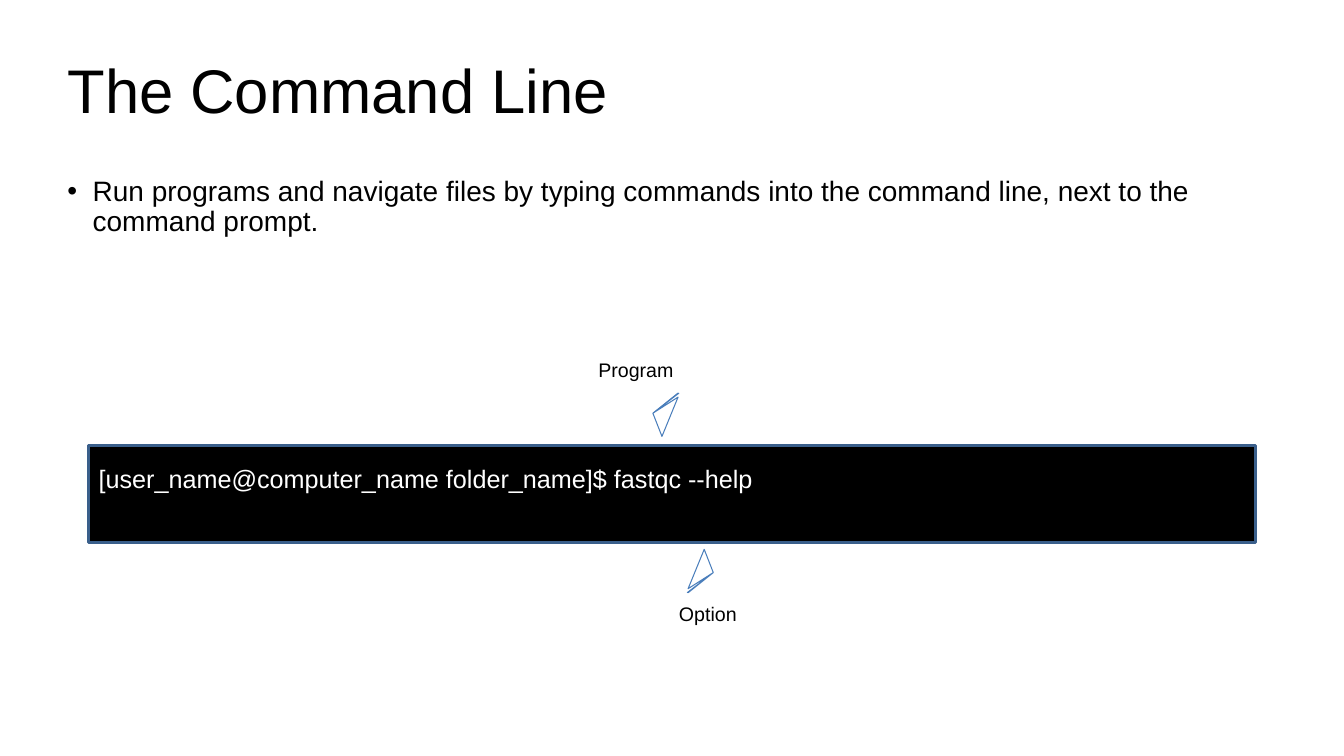
from dataclasses import dataclass

from lxml import etree
from pptx import Presentation
from pptx import util as u
from pptx.dml.color import RGBColor
from pptx.enum import shapes, text
from pptx.oxml import ns
from pptx.slide import Slide
from pptx.text.text import TextFrame

BLACK = RGBColor(0x00, 0x00, 0x00)
WHITE = RGBColor(0xFF, 0xFF, 0xFF)
TERMINAL_BORDER = RGBColor(0x3A, 0x5F, 0x8B)
ARROW_BLUE = RGBColor(0x4A, 0x7E, 0xBB)

Point = tuple[float, float]
# Outline of an upright arrow, relative to the corner of its frame
ARROW_OUTLINE: list[Point] = [
    (2.88, 0), (17.28, 18.72), (5.76, 0.72),
    (33.84, 12.24), (17.28, 18.72), (2.88, 0.72),
]
ARROW_FRAME: list[Point] = [(0, 0), (17.28, 51.12)]


@dataclass
class TextBox:
    words: str
    left: float
    top: float
    width: float
    height: float
    size: float
    margins: Point = (0, 0)
    anchor: text.MSO_ANCHOR = text.MSO_ANCHOR.TOP
    line_spacing: float = 1.0
    bullet: bool = False


@dataclass
class Arrow:
    left: float
    top: float
    rotation: float


TEXT_BOXES = [
    TextBox("The Command Line", 48.24, 21.6, 864, 90, 44,
            anchor=text.MSO_ANCHOR.MIDDLE, line_spacing=0.9),
    TextBox("Run programs and navigate files by typing commands into the "
            "command line, next to the command prompt.",
            48.24, 126.72, 864, 132.48, 20, line_spacing=0.9, bullet=True),
    TextBox("Program", 420.48, 252, 78.48, 23.76, 14, margins=(7.2, 3.6)),
    TextBox("Option", 478.08, 426.24, 78.48, 23.76, 14, margins=(7.2, 3.6)),
]
ARROWS = [Arrow(442.8, 269.28, 90), Arrow(499.68, 383.76, 270)]


def write_text(frame: TextFrame, box: TextBox, color: RGBColor) -> None:
    frame.word_wrap = True
    frame.vertical_anchor = box.anchor
    frame.margin_left = frame.margin_right = u.Pt(box.margins[0])
    frame.margin_top = frame.margin_bottom = u.Pt(box.margins[1])
    paragraph = frame.paragraphs[0]
    paragraph.text = box.words
    paragraph.alignment = text.PP_ALIGN.LEFT
    paragraph.line_spacing = box.line_spacing
    if box.bullet:
        properties = paragraph._p.get_or_add_pPr()
        properties.set("marL", str(u.Pt(18)))
        properties.set("indent", str(u.Pt(-18)))
        etree.SubElement(properties, ns.qn("a:buFont")).set("typeface", "Arial")
        etree.SubElement(properties, ns.qn("a:buChar")).set("char", "•")
    paragraph.font.name = "Arial"
    paragraph.font.size = u.Pt(box.size)
    paragraph.font.color.rgb = color


def add_text_box(slide: Slide, box: TextBox) -> None:
    shape = slide.shapes.add_textbox(
        u.Pt(box.left), u.Pt(box.top), u.Pt(box.width), u.Pt(box.height))
    write_text(shape.text_frame, box, BLACK)


def add_terminal(slide: Slide) -> None:
    box = TextBox("[user_name@computer_name folder_name]$ fastqc --help",
                  63.36, 318.24, 833.76, 69.12, 18, margins=(7.2, 12.6))
    shape = slide.shapes.add_shape(
        shapes.MSO_SHAPE.RECTANGLE,
        u.Pt(box.left), u.Pt(box.top), u.Pt(box.width), u.Pt(box.height))
    shape.shadow.inherit = False
    shape.fill.solid()
    shape.fill.fore_color.rgb = BLACK
    shape.line.color.rgb = TERMINAL_BORDER
    shape.line.width = u.Pt(2)
    write_text(shape.text_frame, box, WHITE)


def add_arrow(slide: Slide, arrow: Arrow) -> None:
    """Draw the arrow outline; the frame points only set its extent."""
    corner, tail, start, *rest = [
        (u.Pt(x), u.Pt(y)) for x, y in ARROW_FRAME + ARROW_OUTLINE]
    builder = slide.shapes.build_freeform(*corner)
    builder.move_to(*tail)
    builder.move_to(*start)
    builder.add_line_segments(rest, close=False)
    shape = builder.convert_to_shape(u.Pt(arrow.left), u.Pt(arrow.top))
    shape.rotation = arrow.rotation
    shape.shadow.inherit = False
    shape.fill.background()
    shape.line.color.rgb = ARROW_BLUE
    shape.line.width = u.Pt(0.75)


def main() -> None:
    presentation = Presentation()
    presentation.slide_width = u.Pt(960.48)
    presentation.slide_height = u.Pt(540)
    slide = presentation.slides.add_slide(presentation.slide_layouts[6])
    add_terminal(slide)
    for box in TEXT_BOXES:
        add_text_box(slide, box)
    for arrow in ARROWS:
        add_arrow(slide, arrow)
    presentation.save("out.pptx")


if __name__ == "__main__":
    main()
